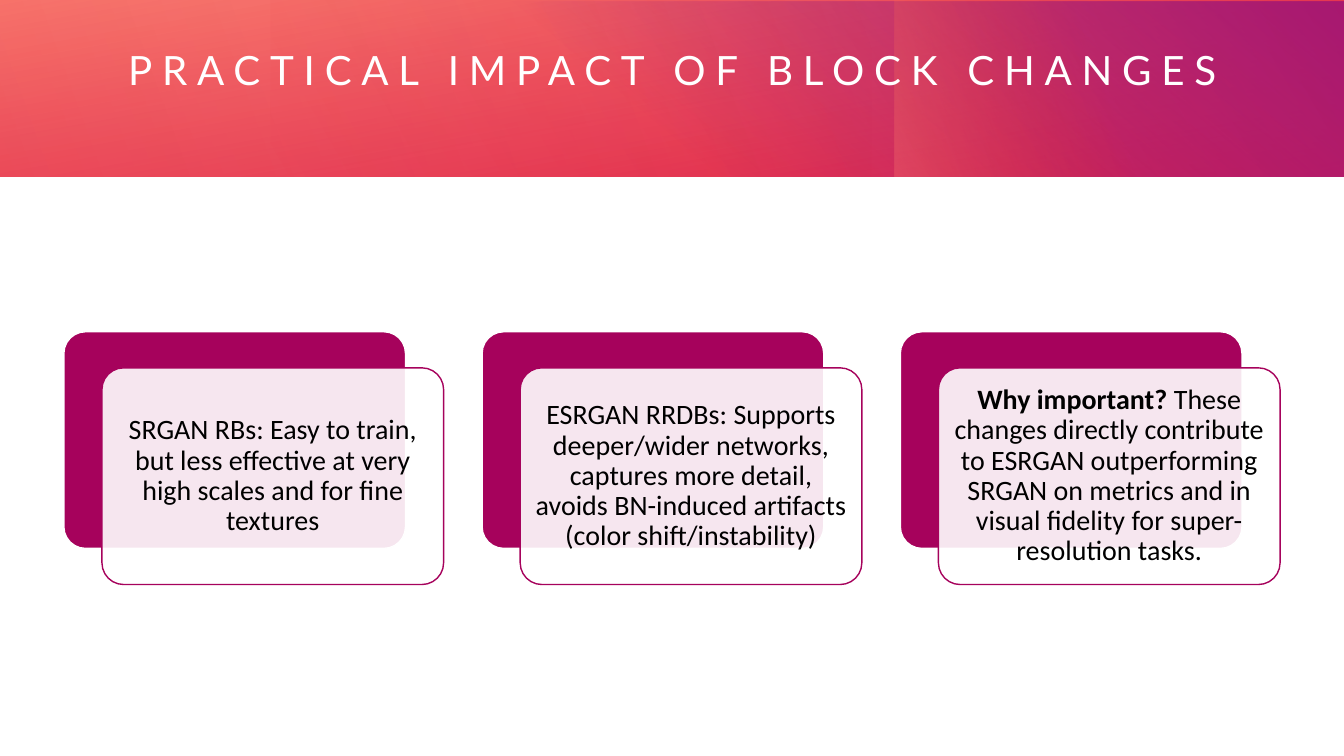
from lxml.etree import SubElement
from pptx import Presentation
from pptx.dml.color import RGBColor
from pptx.enum.shapes import MSO_SHAPE
from pptx.enum.text import MSO_ANCHOR, PP_ALIGN
from pptx.oxml.ns import qn
from pptx.util import Cm, Pt

WHITE = RGBColor(0xFF, 0xFF, 0xFF)
BLACK = RGBColor(0x00, 0x00, 0x00)
MAGENTA = RGBColor(0xA6, 0x02, 0x5C)
RED = RGBColor(0xDA, 0x00, 0x2F)
CORAL = RGBColor(0xFF, 0x90, 0x7A)
ORANGE = RGBColor(0xFE, 0x4A, 0x00)
PURPLE = RGBColor(0x92, 0x24, 0x8E)


def set_opacity(shape, percents):
    """Give the fill colours of a shape, in order, their opacity in percent."""
    colors = shape.fill._xPr.iter(qn("a:srgbClr"))
    for color, percent in zip(colors, percents):
        if percent < 100:
            SubElement(color, qn("a:alpha"), val=str(percent * 1000))


def write_text(shape, text, lead="", font="Calibri", size=20, color=BLACK,
               align=PP_ALIGN.CENTER, anchor=MSO_ANCHOR.MIDDLE,
               insets=(0.21, 0.21, 0.21, 0.21), tracking=0):
    """Fill a shape with one paragraph that may open with a bold lead."""
    frame = shape.text_frame
    frame.word_wrap = True
    frame.vertical_anchor = anchor
    (frame.margin_left, frame.margin_top,
     frame.margin_right, frame.margin_bottom) = map(Cm, insets)
    para = frame.paragraphs[0]
    para.alignment = align
    para.line_spacing = 0.9
    for words, bold in ((lead, True), (text, False)):
        if words:
            span = para.add_run()
            span.text = words
            span.font.name = font
            span.font.size = Pt(size)
            span.font.bold = bold
            span.font.color.rgb = color
            if tracking:
                span.font._element.set("spc", str(tracking * 100))


deck = Presentation()
deck.slide_width, deck.slide_height = Cm(33.87), Cm(19.05)
page = deck.slides.add_slide(deck.slide_layouts[6])

# Header band: left, top, width, height, rotation, counter-clockwise angle,
# then two stops of position, colour and opacity
header_layers = [
    (0, 0, 33.87, 4.45, 0, 100, (0, RED, 83), (1, CORAL, 100)),
    (12.22, 0.03, 21.65, 4.42, 0, 50, (0.22, PURPLE, 0), (0.99, PURPLE, 100)),
    (25.07, -2.52, 4.45, 9.5, 270, 110, (0.45, ORANGE, 0), (0.99, CORAL, 33)),
    (6.82, 0, 27.03, 4.45, 180, 30, (0, RED, 30), (0.99, RED, 0)),
    (0, 0, 21.97, 4.45, 0, 20, (0, RED, 21), (0.99, RED, 0)),
]
for left, top, width, height, rotation, angle, *stops in header_layers:
    layer = page.shapes.add_shape(MSO_SHAPE.RECTANGLE, Cm(left), Cm(top), Cm(width), Cm(height))
    layer.shadow.inherit = False
    layer.rotation = rotation
    layer.line.fill.background()
    layer.fill.gradient()
    layer.fill.gradient_angle = angle
    for stop, (position, color, _) in zip(layer.fill.gradient_stops, stops):
        stop.position = position
        stop.color.rgb = color
    set_opacity(layer, [opacity for _, _, opacity in stops])

title = page.shapes.add_textbox(Cm(3.23), Cm(1.04), Cm(28.83), Cm(2.69))
write_text(title, "PRACTICAL IMPACT OF BLOCK CHANGES", font="Lato", size=28.8,
           color=WHITE, align=PP_ALIGN.LEFT, anchor=MSO_ANCHOR.TOP,
           insets=(0, 0.25, 0, 0), tracking=7)

# Each card is a white panel set off from a magenta one behind it
CARD_LEFT, CARD_TOP, CARD_PITCH = 1.61, 8.36, 10.54
cards = [
    ("", "SRGAN RBs: Easy to train, but less effective at very high scales "
         "and for fine textures"),
    ("", "ESRGAN RRDBs: Supports deeper/wider networks, captures more detail, "
         "avoids BN-induced artifacts (color shift/instability)"),
    ("Why important? ", "These changes directly contribute to ESRGAN outperforming "
                        "SRGAN on metrics and in visual fidelity for "
                        "super-resolution tasks."),
]
for index, (lead, text) in enumerate(cards):
    left = CARD_LEFT + index * CARD_PITCH
    for shift_x, shift_y, fill, outline, opacity in (
            (0, 0, MAGENTA, WHITE, 100), (0.96, 0.91, WHITE, MAGENTA, 90)):
        panel = page.shapes.add_shape(MSO_SHAPE.ROUNDED_RECTANGLE, Cm(left + shift_x),
                                      Cm(CARD_TOP + shift_y), Cm(8.61), Cm(5.46))
        panel.shadow.inherit = False
        panel.adjustments[0] = 0.1
        panel.fill.solid()
        panel.fill.fore_color.rgb = fill
        set_opacity(panel, [opacity])
        panel.line.color.rgb = outline
        panel.line.width = Pt(1)
    write_text(panel, text, lead=lead)

deck.save("out.pptx")
